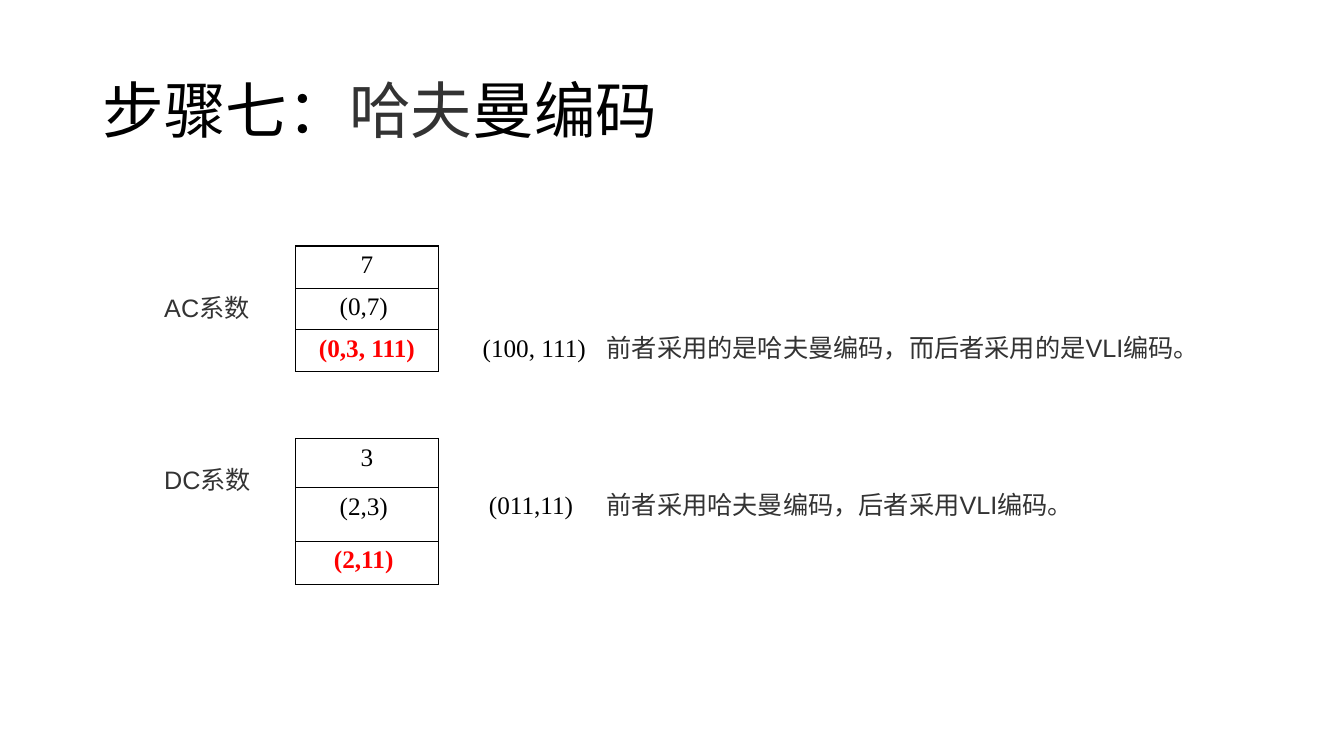
import dataclasses

import lxml.etree
import pptx
import pptx.dml.color
import pptx.enum.text
import pptx.oxml.ns
import pptx.util

ALIGN = pptx.enum.text.PP_ALIGN
ANCHOR = pptx.enum.text.MSO_ANCHOR
qn = pptx.oxml.ns.qn


@dataclasses.dataclass(frozen=True)
class Theme:
    black: str = "000000"
    grey: str = "333333"
    red: str = "FF0000"
    sans: str = "Arial"
    serif: str = "Times New Roman"
    chinese: str = "Noto Sans CJK SC"
    title_size: int = 44
    body_size: int = 18
    border: float = 1


class CodingSlide:
    """Draws on one slide; lengths are percentages of its width and height."""

    def __init__(self, deck, theme):
        self.deck, self.theme = deck, theme
        self.slide = deck.slides.add_slide(deck.slide_layouts[6])

    def box(self, left, top, width, height):
        across, down = self.deck.slide_width / 100, self.deck.slide_height / 100
        return [pptx.util.Emu(round(length)) for length in
                (left * across, top * down, width * across, height * down)]

    def run(self, paragraph, words, font, color, size=None, bold=False):
        run = paragraph.add_run()
        run.text = words
        run.font.name = font
        run.font.size = pptx.util.Pt(size or self.theme.body_size)
        run.font.bold = bold
        run.font.color.rgb = pptx.dml.color.RGBColor.from_string(color)
        east_asian = lxml.etree.SubElement(run.font._element, qn("a:ea"))
        east_asian.set("typeface", self.theme.chinese)

    def text(self, place, runs, align=ALIGN.LEFT, wrap=False, anchor=ANCHOR.TOP,
             size=None, spacing=None):
        frame = self.slide.shapes.add_textbox(*self.box(*place)).text_frame
        frame.word_wrap = wrap
        frame.vertical_anchor = anchor
        paragraph = frame.paragraphs[0]
        paragraph.alignment = align
        paragraph.line_spacing = spacing
        for words, font, color in runs:
            self.run(paragraph, words, font, color, size)

    def table(self, left, top, width, rows):
        """Stack (words, height, highlighted) rows and return the bottom edge."""
        height = sum(row[1] for row in rows)
        place = self.box(left, top, width, height)
        table = self.slide.shapes.add_table(len(rows), 1, *place).table
        table.first_row = table.horz_banding = False
        for index, (words, row_height, highlighted) in enumerate(rows):
            table.rows[index].height = self.box(0, 0, 0, row_height)[3]
            cell = table.cell(index, 0)
            cell.fill.background()
            self.borders(cell)
            paragraph = cell.text_frame.paragraphs[0]
            paragraph.alignment = ALIGN.CENTER
            color = self.theme.red if highlighted else self.theme.black
            self.run(paragraph, words, self.theme.serif, color, bold=highlighted)
        return top + height

    def borders(self, cell):
        properties = cell._tc.get_or_add_tcPr()
        for index, side in enumerate(("a:lnL", "a:lnR", "a:lnT", "a:lnB")):
            line = lxml.etree.Element(qn(side))
            line.set("w", str(pptx.util.Pt(self.theme.border)))
            fill = lxml.etree.SubElement(line, qn("a:solidFill"))
            lxml.etree.SubElement(fill, qn("a:srgbClr")).set("val", self.theme.black)
            properties.insert(index, line)


def main():
    deck = pptx.Presentation()
    deck.slide_width = pptx.util.Inches(13.33)
    deck.slide_height = pptx.util.Inches(7.5)
    theme = Theme()
    page = CodingSlide(deck, theme)

    # Title
    page.text((6.9, 5.33, 86.25, 19.33),
              [("步骤七：", theme.chinese, theme.black),
               ("哈夫", theme.sans, theme.grey),
               ("曼编码", theme.chinese, theme.black)],
              wrap=True, anchor=ANCHOR.MIDDLE, size=theme.title_size, spacing=0.9)

    # Coefficient tables; the DC result is a table of its own below the steps
    table_left, table_width = 22, 10.6
    page.table(table_left, 32.53, table_width,
               [("7", 5.6, False), ("(0,7) ", 5.5, False), ("(0,3, 111)", 5.5, True)])
    dc_bottom = page.table(table_left, 58, table_width,
                           [("3", 6.53, False), ("(2,3) ", 7.07, False)])
    page.table(table_left, dc_bottom, table_width, [("(2,11) ", 5.75, True)])

    # Label, resulting code and explanation of each coefficient
    line_height = 5.33
    coefficients = [
        ("AC系数", 38, "(100, 111)", 43.33,
         "前者采用的是哈夫曼编码，而后者采用的是VLI编码。", 46),
        ("DC系数", 60.8, "(011,11) ", 64,
         "前者采用哈夫曼编码，后者采用VLI编码。", 36.5),
    ]
    for label, label_top, code, code_top, note, note_width in coefficients:
        page.text((11.48, label_top, 8, line_height),
                  [(label, theme.sans, theme.grey)], wrap=True)
        page.text((35.1, code_top, 9.3, line_height),
                  [(code, theme.serif, theme.black)], align=ALIGN.CENTER)
        page.text((44.4, code_top, note_width, line_height),
                  [(note, theme.sans, theme.grey)])

    deck.save("out.pptx")


if __name__ == "__main__":
    main()
